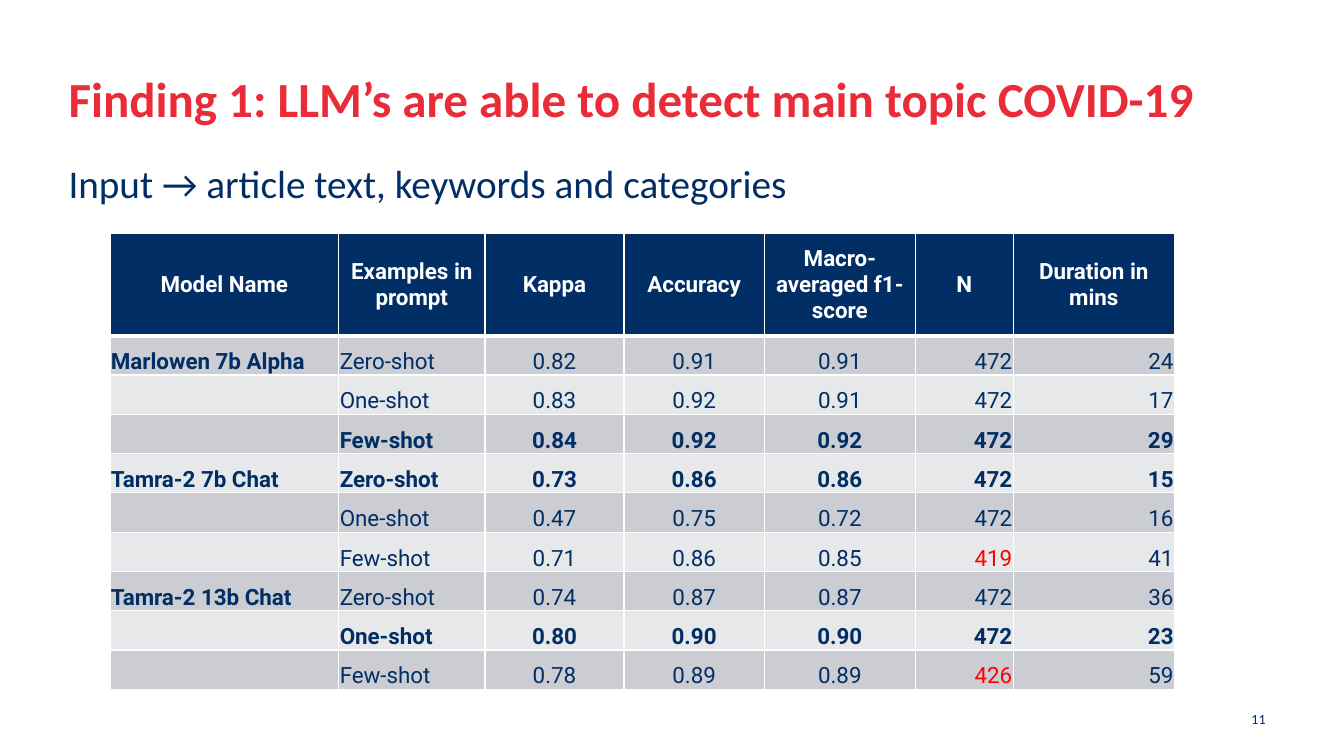
from lxml.etree import SubElement
from pptx import Presentation
from pptx.dml.color import RGBColor
from pptx.enum.text import MSO_ANCHOR, MSO_AUTO_SIZE, PP_ALIGN
from pptx.oxml.ns import qn
from pptx.util import Inches, Pt

NAVY, RED, WHITE = "002E65", "EA2C38", "FFFFFF"
ALERT = "FF0000"
BANDS = ["CCCDD3", "E7E8EA"]


def write(frame, text, size=16, font="Roboto", color=NAVY, bold=False, align=PP_ALIGN.LEFT):
    para = frame.paragraphs[0]
    para.alignment = align
    span = para.add_run()
    span.text = text
    span.font.size = Pt(size)
    span.font.name = font
    span.font.bold = bold
    span.font.color.rgb = RGBColor.from_string(color)


def add_borders(cell, **widths):
    properties = cell._tc.get_or_add_tcPr()
    for side, width in widths.items():
        line = SubElement(properties, qn(f"a:ln{side}"), w=str(Pt(width)))
        fill = SubElement(line, qn("a:solidFill"))
        SubElement(fill, qn("a:srgbClr"), val=WHITE)


deck = Presentation()
deck.slide_width = Inches(13.33)
deck.slide_height = Inches(7.5)
page = deck.slides.add_slide(deck.slide_layouts[5])

title = page.shapes.title
title.left, title.top = Inches(0.68), Inches(0.68)
title.width, title.height = Inches(11.97), Inches(0.87)
subtitle = page.shapes.add_textbox(Inches(0.68), Inches(1.58), Inches(11.96), Inches(0.97))
for box in (title, subtitle):
    frame = box.text_frame
    frame.word_wrap = True
    frame.auto_size = MSO_AUTO_SIZE.NONE
    frame.vertical_anchor = MSO_ANCHOR.TOP
    frame.margin_left = frame.margin_right = frame.margin_top = frame.margin_bottom = 0
write(title.text_frame, "Finding 1: LLM’s are able to detect main topic COVID-19",
      size=35, font="Calibri", color=RED, bold=True)
write(subtitle.text_frame, "Input → article text, keywords and categories", size=28, font="Calibri")

number = page.shapes.add_textbox(Inches(9.76), Inches(6.93), Inches(2.89), Inches(0.4))
number.text_frame.word_wrap = True
number.text_frame.vertical_anchor = MSO_ANCHOR.MIDDLE
write(number.text_frame, "11", size=10, font="Calibri", align=PP_ALIGN.RIGHT)

headers = ["Model Name", "Examples in prompt", "Kappa", "Accuracy",
           "Macro-averaged f1- score", "N", "Duration in mins"]
results = [
    ["Marlowen 7b Alpha", "Zero-shot", "0.82", "0.91", "0.91", "472", "24"],
    ["", "One-shot", "0.83", "0.92", "0.91", "472", "17"],
    ["", "Few-shot", "0.84", "0.92", "0.92", "472", "29"],
    ["Tamra-2 7b Chat", "Zero-shot", "0.73", "0.86", "0.86", "472", "15"],
    ["", "One-shot", "0.47", "0.75", "0.72", "472", "16"],
    ["", "Few-shot", "0.71", "0.86", "0.85", "419", "41"],
    ["Tamra-2 13b Chat", "Zero-shot", "0.74", "0.87", "0.87", "472", "36"],
    ["", "One-shot", "0.80", "0.90", "0.90", "472", "23"],
    ["", "Few-shot", "0.78", "0.89", "0.89", "426", "59"],
]
best_rows = {3, 4, 8}
incomplete_counts = {"419", "426"}
column_widths = [2.27, 1.45, 1.38, 1.39, 1.5, 0.97, 1.6]
alignments = [PP_ALIGN.LEFT] * 2 + [PP_ALIGN.CENTER] * 3 + [PP_ALIGN.RIGHT] * 2

table = page.shapes.add_table(len(results) + 1, len(headers), Inches(1.09), Inches(2.32),
                              Inches(10.56), Inches(4.5)).table
table.horz_banding = False
for column, width in zip(table.columns, column_widths):
    column.width = Inches(width)
for index, row in enumerate(table.rows):
    row.height = Inches(0.39 if index else 1.01)

for row, values in enumerate([headers] + results):
    is_header = row == 0
    for column, text in enumerate(values):
        cell = table.cell(row, column)
        cell.margin_left = cell.margin_right = cell.margin_top = Inches(0.01)
        cell.margin_bottom = 0
        cell.vertical_anchor = MSO_ANCHOR.MIDDLE if is_header else MSO_ANCHOR.BOTTOM
        add_borders(cell, L=1, R=1, T=3 if row == 1 else 1, B=3 if is_header else 1)
        cell.fill.solid()
        cell.fill.fore_color.rgb = RGBColor.from_string(NAVY if is_header else BANDS[(row - 1) % 2])
        if is_header:
            write(cell.text_frame, text, color=WHITE, bold=True, align=PP_ALIGN.CENTER)
        elif text:
            write(cell.text_frame, text, color=ALERT if text in incomplete_counts else NAVY,
                  bold=column == 0 or row in best_rows, align=alignments[column])

deck.save("out.pptx")
